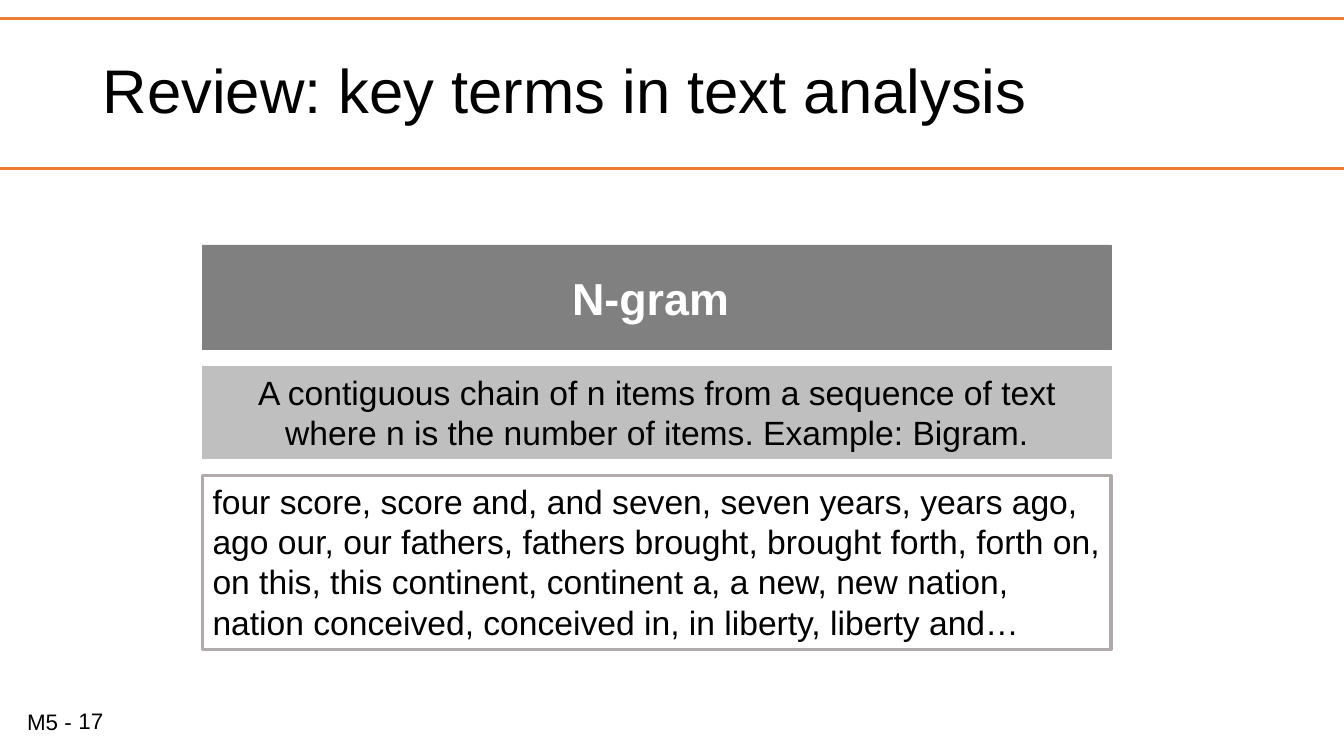
from pptx import Presentation
from pptx.dml.color import RGBColor
from pptx.enum.shapes import MSO_CONNECTOR as CONN, MSO_SHAPE as SHAPE
from pptx.enum.text import MSO_ANCHOR as ANCHOR, PP_ALIGN as ALIGN
from pptx.oxml.ns import qn
from pptx.util import Inches, Pt
from lxml import etree


def color(value):
    return RGBColor.from_string(value)


class SlideBuilder:
    font = "Arial"
    black, white, accent = "000000", "FFFFFF", "ED7D31"

    def __init__(self, slide):
        self.shapes = slide.shapes

    def rule(self, y):
        line = self.shapes.add_connector(
            CONN.STRAIGHT, 0, Inches(y), Inches(13.33), Inches(y))
        line.line.color.rgb = color(self.accent)
        line.line.width = Pt(2.25)
        etree.SubElement(line._element.spPr, qn("a:effectLst"))

    def add_words(self, sp, text, size, ink=None, bold=False, align=ALIGN.LEFT,
                  anchor=ANCHOR.TOP, spacing=None):
        tf = sp.text_frame
        tf.word_wrap = True
        tf.vertical_anchor = anchor
        p = tf.paragraphs[0]
        p.alignment = align
        p.line_spacing = spacing
        r = p.add_run()
        r.text = text
        r.font.name = self.font
        r.font.size = Pt(size)
        r.font.bold = bold
        r.font.color.rgb = color(ink or self.black)

    def text(self, box, text, size, **style):
        sp = self.shapes.add_textbox(*map(Inches, box))
        self.add_words(sp, text, size, **style)

    def panel(self, box, text, size, fill, outline, width, **style):
        sp = self.shapes.add_shape(SHAPE.RECTANGLE, *map(Inches, box))
        sp.shadow.inherit = False
        if fill:
            sp.fill.solid()
            sp.fill.fore_color.rgb = color(fill)
        else:
            sp.fill.background()
        sp.line.color.rgb = color(outline)
        sp.line.width = Pt(width)
        self.add_words(sp, text, size, **style)


def main():
    prs = Presentation()
    prs.slide_width, prs.slide_height = Inches(13.33), Inches(7.5)
    s = SlideBuilder(prs.slides.add_slide(prs.slide_layouts[6]))

    # Title band
    for y in (0.18, 1.67):
        s.rule(y)
    s.text((0.92, 0.2, 11.5, 1.45), "Review: key terms in text analysis", 44,
           anchor=ANCHOR.MIDDLE, spacing=0.9)

    # Term, definition and example
    left, width = 2.01, 9.01
    s.panel((left, 2.43, width, 1.04), "N-gram ", 32, "808080", "808080", 0.5,
            ink=s.white, bold=True, align=ALIGN.CENTER, anchor=ANCHOR.MIDDLE)
    s.panel((left, 3.64, width, 0.91),
            "A contiguous chain of n items from a sequence of text where n is "
            "the number of items. Example: Bigram.",
            24, "BFBFBF", "BFBFBF", 0.75, align=ALIGN.CENTER)
    s.panel((left, 4.72, width, 1.72),
            "four score, score and, and seven, seven years, years ago, ago our, "
            "our fathers, fathers brought, brought forth, forth on, on this, "
            "this continent, continent a, a new, new nation, nation conceived, "
            "conceived in, in liberty, liberty and…",
            24, None, "AFABAB", 2.25)

    # Page number
    s.text((0.17, 6.98, 0.95, 0.37), "M5 -", 16)
    s.text((0.68, 6.95, 3, 0.4), "17", 16, anchor=ANCHOR.MIDDLE)

    prs.save("out.pptx")


if __name__ == "__main__":
    main()
